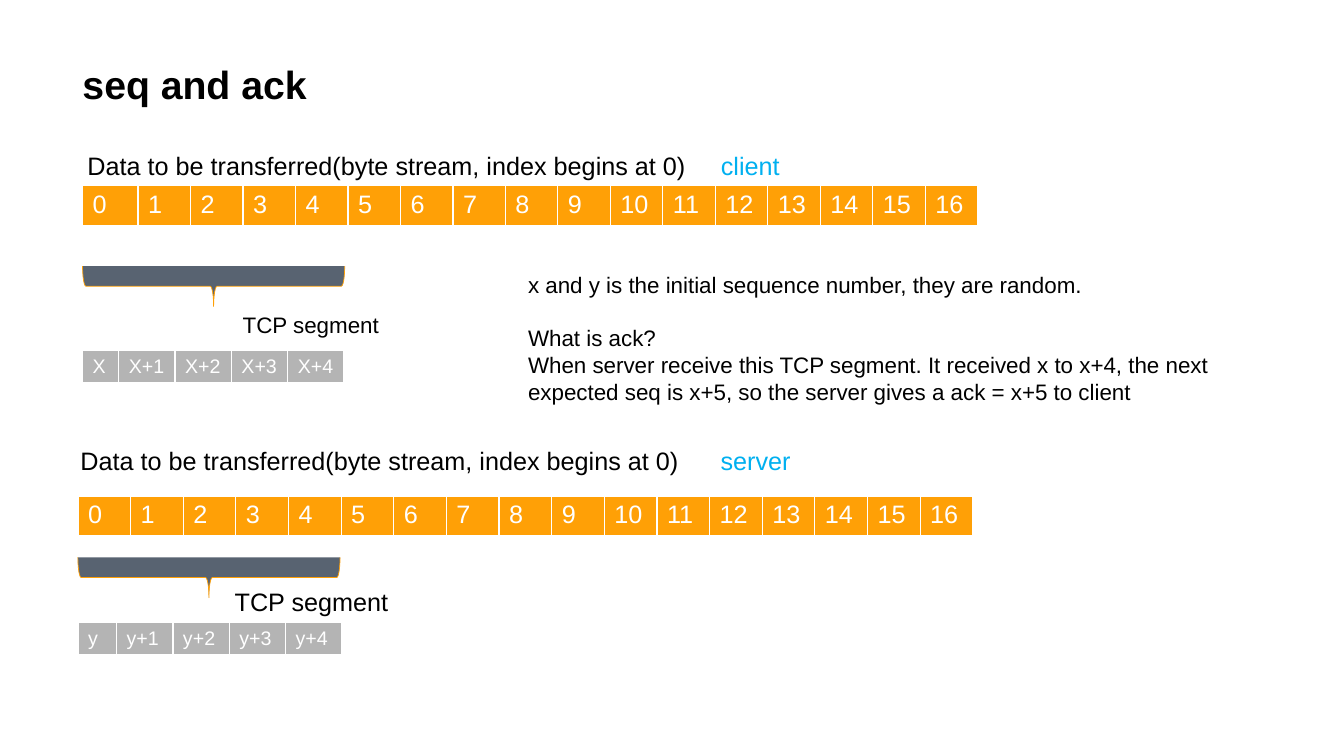
from dataclasses import dataclass

from lxml import etree
from pptx import Presentation
from pptx.dml.color import RGBColor
from pptx.enum.shapes import MSO_SHAPE
from pptx.enum.text import MSO_ANCHOR
from pptx.oxml.ns import qn
from pptx.slide import Slide
from pptx.text.text import TextFrame
from pptx.util import Inches, Length, Pt

LEFT_BRACE = MSO_SHAPE.LEFT_BRACE
ANCHOR_TOP = MSO_ANCHOR.TOP
ANCHOR_BOTTOM = MSO_ANCHOR.BOTTOM
FONT = "Arial"
COLORS = {
    "text": "000000",
    "white": "FFFFFF",
    "endpoint": "00B0F0",
    "stream": "FFA006",
    "segment": "B4B4B4",
    "brace": "586371",
}
GRID_COLUMNS, GRID_ROWS = 160, 90
SLIDE_WIDTH, SLIDE_HEIGHT = Inches(13.33), Inches(7.5)
BRACE_LENGTH, BRACE_DEPTH = 31.2, 4.8
BYTE_COUNT, SEGMENT_COUNT = 17, 5
BORDERS = {"a:lnL": 1, "a:lnR": 1, "a:lnT": 1, "a:lnB": 3}


@dataclass(frozen=True)
class Box:
    column: float
    row: float
    width: float
    height: float


@dataclass(frozen=True)
class Strip:
    column: float
    row: float
    first_width: float
    other_width: float
    height: float
    size: int
    color: str


@dataclass(frozen=True)
class Endpoint:
    name: str
    initial: str
    caption: Box
    tab: float
    stream: Strip
    brace_row: float
    label: Box
    label_size: int
    segment: Strip


ENDPOINTS = (
    Endpoint("client", "X", Box(9.24, 17.28, 125.9, 4.8), 75.4,
             Strip(9.84, 22.1, 6.6, 6.25, 4.9, 18, "stream"), 31.68,
             Box(27.72, 36.48, 29.8, 4.44), 16,
             Strip(9.84, 41.7, 4.3, 6.71, 3.9, 14, "segment")),
    Endpoint("server", "y", Box(8.4, 52.44, 136.6, 4.8), 76.2,
             Strip(9.28, 59.04, 6.27, 6.27, 4.9, 18, "stream"), 66.36,
             Box(26.76, 69.24, 22.2, 4.8), 18,
             Strip(9.28, 74.1, 4.6, 6.71, 3.9, 14, "segment")),
)
NOTES = (
    "x and y is the initial sequence number, they are random.",
    "What is ack?",
    "When server receive this TCP segment. It received x to x+4, the next "
    "expected seq is x+5, so the server gives a ack = x+5 to client",
)


def across(columns: float) -> Length:
    return Length(round(SLIDE_WIDTH * columns / GRID_COLUMNS))


def down(rows: float) -> Length:
    return Length(round(SLIDE_HEIGHT * rows / GRID_ROWS))


def rgb(color: str) -> RGBColor:
    return RGBColor.from_string(COLORS[color])


def format_text(text_frame: TextFrame, size: int, color: str, bold: bool = False) -> None:
    for paragraph in text_frame.paragraphs:
        for run in paragraph.runs:
            run.font.name = FONT
            run.font.size = Pt(size)
            run.font.bold = bold
            run.font.color.rgb = rgb(color)


def add_text(slide: Slide, box: Box, text: str, size: int, bold: bool = False,
             anchor: MSO_ANCHOR = ANCHOR_TOP) -> TextFrame:
    shape = slide.shapes.add_textbox(across(box.column), down(box.row),
                                     across(box.width), down(box.height))
    text_frame = shape.text_frame
    text_frame.word_wrap = True
    text_frame.vertical_anchor = anchor
    text_frame.text = text
    format_text(text_frame, size, "text", bold)
    return text_frame


def add_caption(slide: Slide, endpoint: Endpoint) -> None:
    text_frame = add_text(slide, endpoint.caption, "", 18)
    paragraph = text_frame.paragraphs[0]
    tabs = etree.SubElement(paragraph._p.get_or_add_pPr(), qn("a:tabLst"))
    etree.SubElement(tabs, qn("a:tab"), pos=str(across(endpoint.tab)), algn="l")
    paragraph.text = "Data to be transferred(byte stream, index begins at 0)\t"
    name = paragraph.add_run()
    name.text = endpoint.name
    format_text(text_frame, 18, "text")
    name.font.color.rgb = rgb("endpoint")


def add_strip(slide: Slide, strip: Strip, labels: list[str]) -> None:
    widths = [strip.first_width] + [strip.other_width] * (len(labels) - 1)
    table = slide.shapes.add_table(
        1, len(labels), across(strip.column), down(strip.row),
        across(sum(widths)), down(strip.height)).table
    table.first_row = False
    table.horz_banding = False
    for index, (label, width) in enumerate(zip(labels, widths)):
        table.columns[index].width = across(width)
        cell = table.cell(0, index)
        cell.text_frame.text = label
        format_text(cell.text_frame, strip.size, "white")
        properties = cell._tc.get_or_add_tcPr()
        for tag, points in BORDERS.items():
            border = etree.SubElement(properties, qn(tag), w=str(Pt(points)))
            fill = etree.SubElement(border, qn("a:solidFill"))
            etree.SubElement(fill, qn("a:srgbClr"), val=COLORS["white"])
        cell.fill.solid()
        cell.fill.fore_color.rgb = rgb(strip.color)


def add_brace(slide: Slide, column: float, row: float) -> None:
    offset = (BRACE_LENGTH - BRACE_DEPTH) / 2
    shape = slide.shapes.add_shape(
        LEFT_BRACE, across(column + offset), down(row - offset),
        across(BRACE_DEPTH), down(BRACE_LENGTH))
    shape.rotation = 270
    shape.shadow.inherit = False
    shape.fill.solid()
    shape.fill.fore_color.rgb = rgb("brace")
    shape.line.color.rgb = rgb("stream")
    shape.line.width = Pt(0.5)


def add_endpoint(slide: Slide, endpoint: Endpoint) -> None:
    add_caption(slide, endpoint)
    add_strip(slide, endpoint.stream, [str(index) for index in range(BYTE_COUNT)])
    add_brace(slide, endpoint.stream.column, endpoint.brace_row)
    add_text(slide, endpoint.label, "TCP segment", endpoint.label_size)
    following = [f"{endpoint.initial}+{step}" for step in range(1, SEGMENT_COUNT)]
    add_strip(slide, endpoint.segment, [endpoint.initial] + following)


def main() -> None:
    presentation = Presentation()
    presentation.slide_width = SLIDE_WIDTH
    presentation.slide_height = SLIDE_HEIGHT
    slide = presentation.slides.add_slide(presentation.slide_layouts[6])
    add_text(slide, Box(8.64, 6.72, 145.3, 6.6), "seq and ack", 28, True, ANCHOR_BOTTOM)
    for endpoint in ENDPOINTS:
        add_endpoint(slide, endpoint)
    notes = add_text(slide, Box(61.68, 31.68, 92.9, 17.4), "\n".join(NOTES), 16)
    notes.paragraphs[1].space_before = Pt(19)
    presentation.save("out.pptx")


if __name__ == "__main__":
    main()
